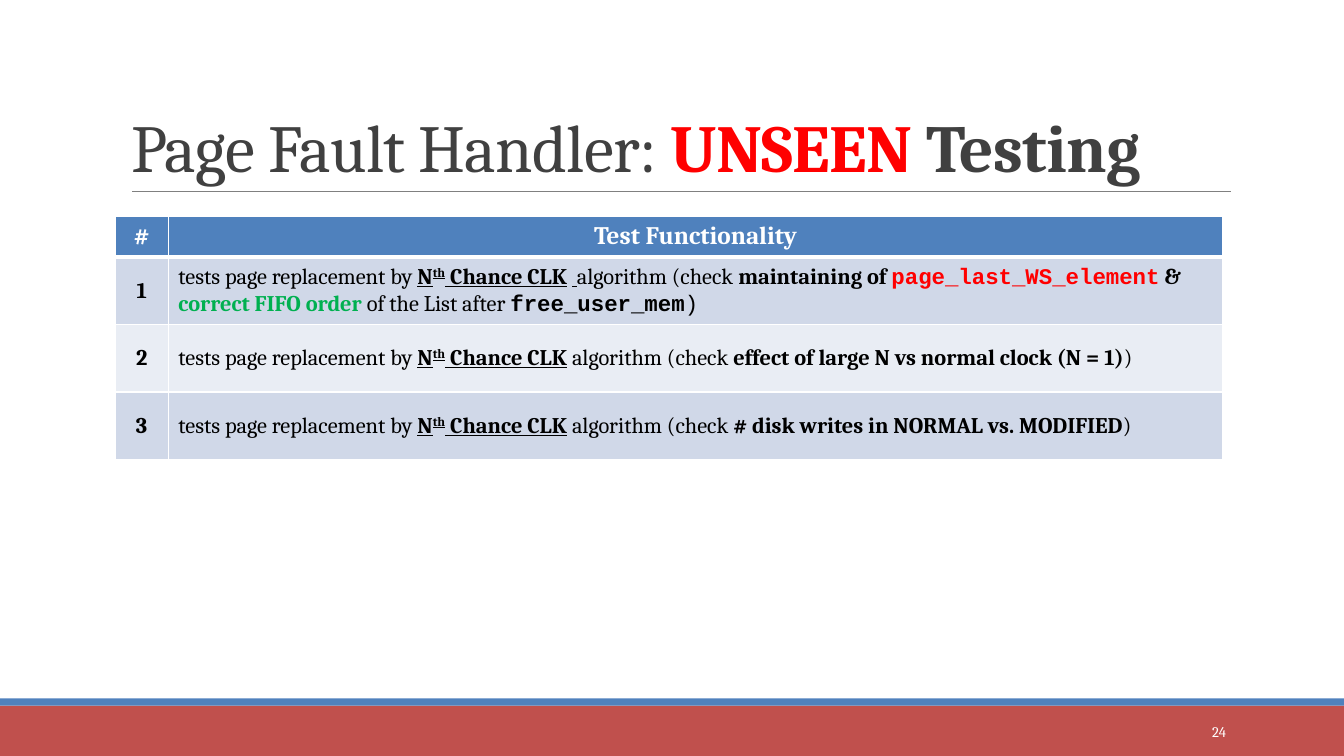
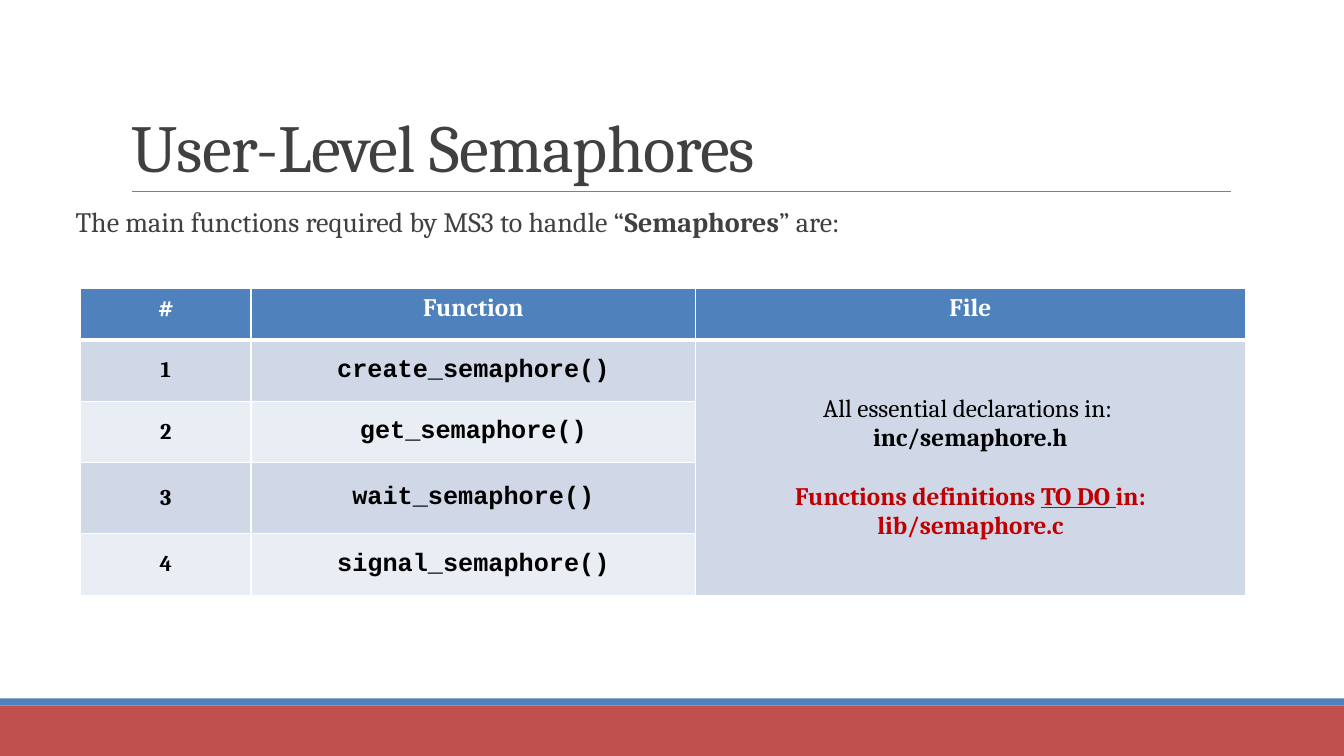
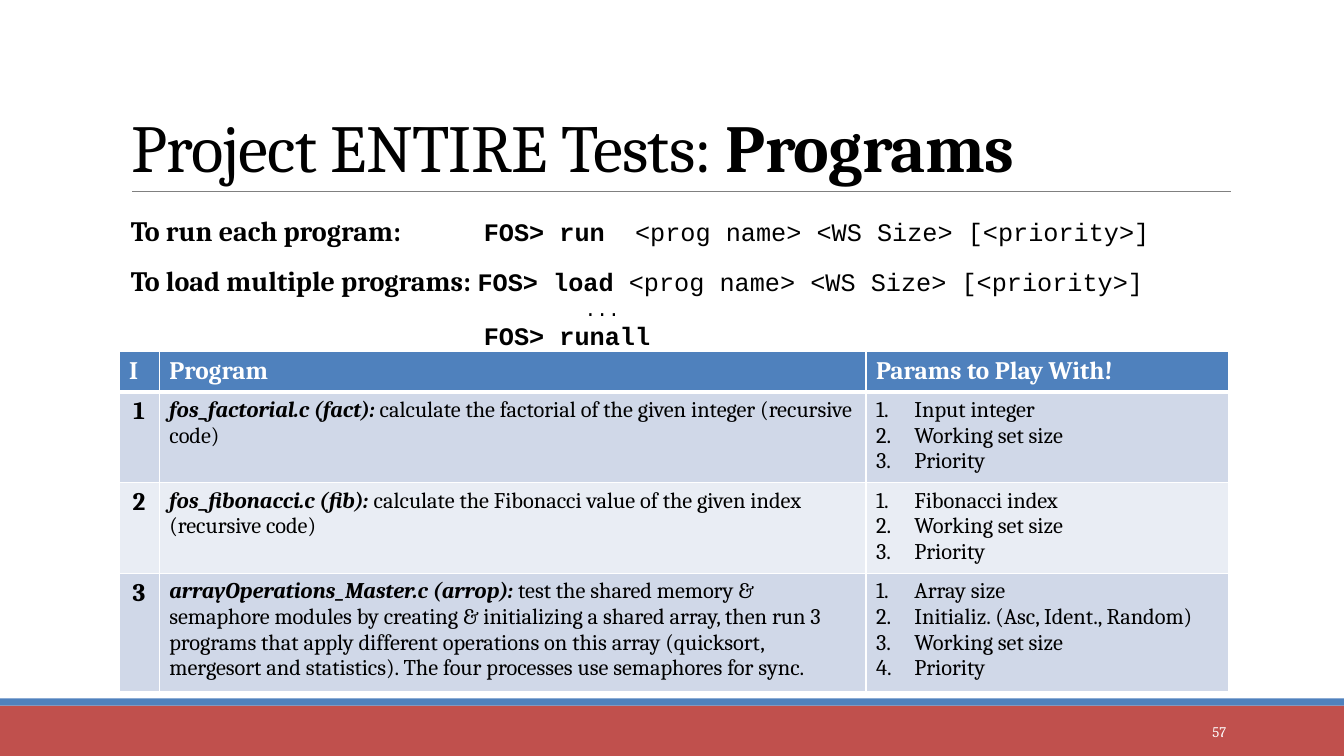
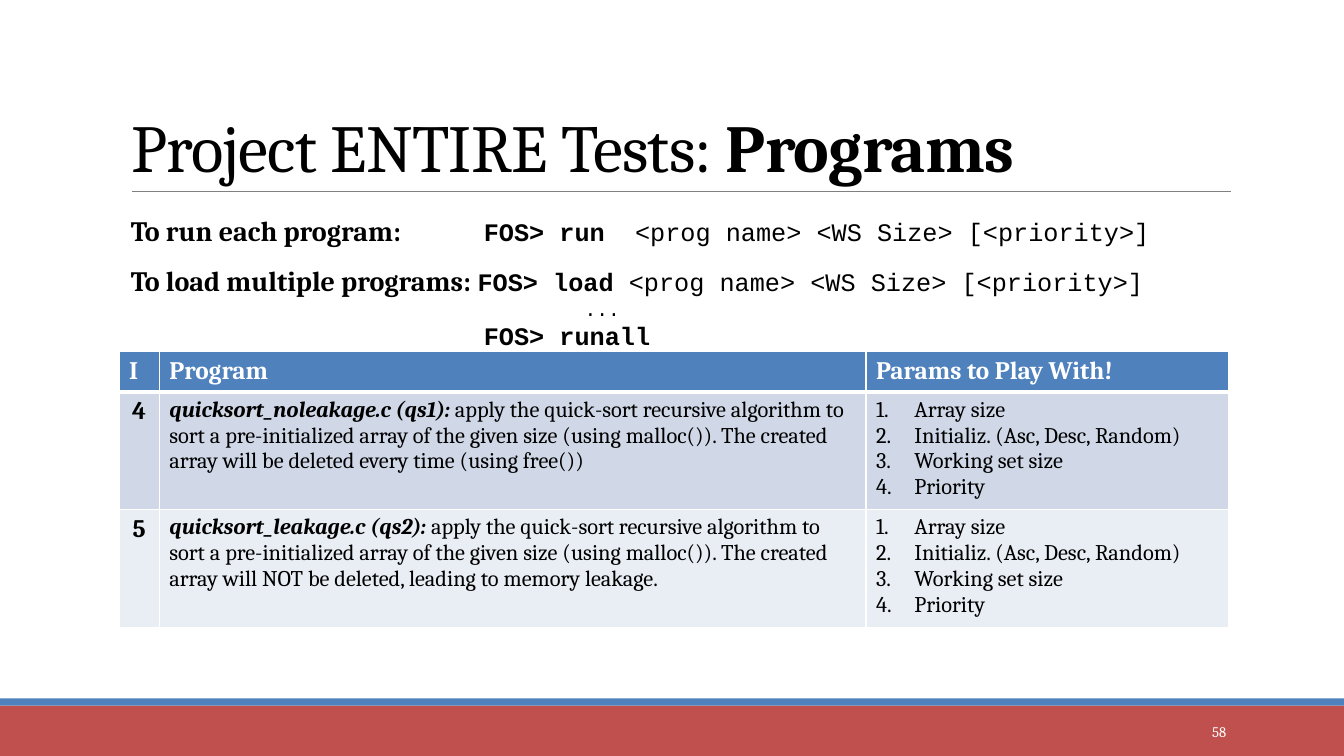
from lxml import etree
from pptx import Presentation
from pptx.dml.color import RGBColor
from pptx.enum.shapes import MSO_CONNECTOR, MSO_SHAPE
from pptx.enum.text import MSO_ANCHOR, MSO_AUTO_SIZE, PP_ALIGN
from pptx.oxml.ns import qn
from pptx.util import Inches, Pt

LEFT, CENTER, RIGHT = PP_ALIGN.LEFT, PP_ALIGN.CENTER, PP_ALIGN.RIGHT
TOP, MIDDLE, BOTTOM = MSO_ANCHOR.TOP, MSO_ANCHOR.MIDDLE, MSO_ANCHOR.BOTTOM
FIXED_SIZE = MSO_AUTO_SIZE.NONE
RECTANGLE, STRAIGHT = MSO_SHAPE.RECTANGLE, MSO_CONNECTOR.STRAIGHT

COLORS = {
    "white": "FFFFFF", "black": "000000", "dark": "404040", "rule": "808080",
    "blue": "4F81BD", "brick": "C0504D", "red": "FF0000", "deep_red": "C00000",
    "green": "00B050", "odd_row": "D0D8E8", "even_row": "E9EDF4",
}
SERIF, MONO = "Cambria", "Courier New"
TITLE_LAYOUT, BODY_LAYOUT = 5, 1
TITLE_BOX = (1.2, 0.31, 11, 1.59)
NUMBER_BOX = (10.83, 7.06, 1.43, 0.4)
BOLD = {"bold": True}
LINKED = {"bold": True, "underline": True}


def color(name):
    return RGBColor.from_string(COLORS[name])


def inches(box):
    return [Inches(length) for length in box]


def add_spans(para, spans, **base):
    """Add each span, a string or a (string, style) pair, as one run."""
    for span in spans:
        text, own = (span, {}) if isinstance(span, str) else span
        style = {"size": 16, "font": SERIF, "color": "black", **base, **own}
        run = para.add_run()
        run.text = text
        font = run.font
        font.size, font.name = Pt(style["size"]), style["font"]
        font.color.rgb = color(style["color"])
        font.bold = style.get("bold", False)
        font.italic = style.get("italic", False)
        font.underline = style.get("underline", False)
        for key, attribute in (("raised", "baseline"), ("spacing", "spc")):
            if key in style:
                font._element.set(attribute, str(style[key]))


def next_para(frame, index):
    return frame.paragraphs[0] if index == 0 else frame.add_paragraph()


def indent(para, left, first, bullet, **attributes):
    properties = para._p.get_or_add_pPr()
    properties.set("marL", str(Inches(left)))
    properties.set("indent", str(Inches(first)))
    etree.SubElement(properties, qn(bullet), **attributes)


def draw_master(deck, page):
    """Draw the footer bands and title rule, then hand them to the master."""
    parts = []
    for top, height, fill in ((7, 0.5, "brick"), (6.93, 0.07, "blue")):
        band = page.shapes.add_shape(RECTANGLE, *inches((0, top, 13.33, height)))
        band.width = deck.slide_width
        band.shadow.inherit = False
        band.fill.solid()
        band.fill.fore_color.rgb = color(fill)
        band.line.fill.background()
        parts.append(band)
    rule = page.shapes.add_connector(STRAIGHT, *inches((1.31, 1.9, 12.21, 1.9)))
    rule.line.color.rgb = color("rule")
    rule.line.width = Pt(0.5)
    etree.SubElement(rule._element.spPr, qn("a:effectLst"))
    for part in parts + [rule]:
        deck.slide_master.shapes.element.append(part._element)


def add_page(deck, layout, title_spans, title_color, number=None):
    page = deck.slides.add_slide(deck.slide_layouts[layout])
    title = page.shapes.title
    title.left, title.top, title.width, title.height = inches(TITLE_BOX)
    frame = title.text_frame
    frame.auto_size, frame.vertical_anchor = FIXED_SIZE, BOTTOM
    para = frame.paragraphs[0]
    para.alignment, para.line_spacing = LEFT, 0.85
    add_spans(para, title_spans, size=48, color=title_color, spacing=-50)
    if number:
        frame = page.shapes.add_textbox(*inches(NUMBER_BOX)).text_frame
        frame.word_wrap, frame.vertical_anchor = True, MIDDLE
        frame.paragraphs[0].alignment = RIGHT
        add_spans(frame.paragraphs[0], [number], size=10.5, color="white")
    return page


def style_cell(cell, fill, top=1, bottom=1):
    properties = cell._tc.get_or_add_tcPr()
    for side, points in (("L", 1), ("R", 1), ("T", top), ("B", bottom)):
        border = etree.SubElement(properties, qn(f"a:ln{side}"), w=str(Pt(points)))
        paint = etree.SubElement(border, qn("a:solidFill"))
        etree.SubElement(paint, qn("a:srgbClr"), val=COLORS["white"])
    cell.fill.solid()
    cell.fill.fore_color.rgb = color(fill)


def add_grid(page, left, top, widths, heights, headings, heading_align):
    """Add a table with banded rows and its heading row filled in."""
    box = inches((left, top, sum(widths), sum(heights)))
    table = page.shapes.add_table(len(heights), len(widths), *box).table
    for column, width in zip(table.columns, widths):
        column.width = Inches(width)
    for index, (row, height) in enumerate(zip(table.rows, heights)):
        row.height = Inches(height)
        for cell in row.cells:
            if index == 0:
                style_cell(cell, "blue", bottom=3)
            else:
                style_cell(cell, "odd_row" if index % 2 else "even_row",
                           top=3 if index == 1 else 1)
    for cell, heading in zip(table.rows[0].cells, headings):
        fill_cell(cell, [heading], heading_align, TOP, size=18, color="white", bold=True)
    return table


def fill_cell(cell, spans, align=LEFT, anchor=MIDDLE, **base):
    cell.vertical_anchor = anchor
    para = cell.text_frame.paragraphs[0]
    para.alignment = align
    add_spans(para, spans, **base)


def testing_page(deck):
    page = add_page(deck, TITLE_LAYOUT,
                    ["Page Fault Handler: ", ("UNSEEN ", {"bold": True, "color": "red"}),
                     ("Testing", BOLD)], "dark", "24")
    checks = [
        [(" ", LINKED), "algorithm (check ", ("maintaining of ", BOLD),
         ("page_last_WS_element", {"bold": True, "font": MONO, "color": "red"}),
         (" & ", BOLD), ("correct FIFO order ", {"bold": True, "color": "green"}),
         "of the List after ", ("free_user_mem", {"bold": True, "font": MONO}),
         (")", {"font": MONO})],
        ["algorithm (check ", ("effect of large N vs normal clock (N = 1)", BOLD), ")"],
        ["algorithm (check ", ("# disk writes in NORMAL vs. MODIFIED", BOLD), ")"],
    ]
    opening = ["tests page replacement by ", ("N", LINKED), ("th", {**LINKED, "raised": 30000}),
               (" Chance CLK", LINKED), (" ", BOLD)]
    table = add_grid(page, 1.14, 2.15, [0.53, 10.46], [0.4] + [0.67] * 3,
                     ["#", "Test Functionality"], CENTER)
    for index, check in enumerate(checks, 1):
        fill_cell(table.cell(index, 0), [str(index)], CENTER, bold=True)
        fill_cell(table.cell(index, 1), opening + check)
    return page


def semaphore_page(deck):
    page = add_page(deck, BODY_LAYOUT, ["User-Level Semaphores"], "dark")
    body = page.placeholders[1]
    body.left, body.top, body.width, body.height = inches((0.65, 2.02, 11.89, 4.4))
    frame = body.text_frame
    frame.auto_size = FIXED_SIZE
    frame.margin_left = frame.margin_right = 0
    para = frame.paragraphs[0]
    para.line_spacing, para.space_before, para.space_after = 0.9, Pt(12), Pt(2)
    indent(para, 0.1, 0, "a:buNone")
    add_spans(para, ["The main functions required by MS3 to handle “", ("Semaphores", BOLD),
                     "” are:"], size=20, color="dark")

    table = add_grid(page, 0.8, 2.86, [1.69, 4.41, 5.45], [0.51, 0.61, 0.61, 0.7, 0.62],
                     ["#", "Function", "File"], CENTER)
    for index, action in enumerate(["create", "get", "wait", "signal"], 1):
        fill_cell(table.cell(index, 0), [str(index)], CENTER, bold=True)
        fill_cell(table.cell(index, 1), [f"{action}_semaphore()"], CENTER,
                  size=18, font=MONO, bold=True)
    files = table.cell(1, 2)
    files.merge(table.cell(4, 2))
    files.vertical_anchor = MIDDLE
    to_do = {"bold": True, "color": "deep_red"}
    lines = [
        ["All essential declarations in: "],
        [("inc/semaphore.h", BOLD)],
        [("Functions definitions ", to_do), ("TO DO ", {**to_do, "underline": True}),
         ("in: lib/semaphore.c", to_do)],
    ]
    for index, spans in enumerate(lines):
        para = next_para(files.text_frame, index)
        para.alignment = CENTER
        add_spans(para, spans, size=18)
    para.space_before = Pt(21)


def add_commands(page, box):
    """Add the shell commands, lined up on shared tab stops."""
    frame = page.shapes.add_textbox(*inches(box)).text_frame
    frame.word_wrap = True
    label = {"size": 20, "bold": True, "font": SERIF}
    bold = {"bold": True}
    arguments = "<prog name> <WS Size> [<priority>]"
    lines = [
        (1.5, [("To run each program: \t", label), ("FOS> run", bold), " \t" + arguments]),
        (1.5, [("To load multiple programs: ", label), ("FOS> load", bold), " " + arguments]),
        (1, [("\t\t...", {"size": 14})]),
        (1, [("\tFOS> runall", bold)]),
    ]
    for index, (spacing, spans) in enumerate(lines):
        para = next_para(frame, index)
        para.line_spacing = spacing
        stops = etree.SubElement(para._p.get_or_add_pPr(), qn("a:tabLst"))
        for stop in (3.5, 4.5, 5):
            etree.SubElement(stops, qn("a:tab"), pos=str(Inches(stop)), algn="l")
        add_spans(para, spans, size=18, font=MONO)


def programs_page(deck, number, first, heights, programs):
    page = add_page(deck, TITLE_LAYOUT, ["Project ENTIRE Tests: ", ("Programs", BOLD)],
                    "black", number)
    table = add_grid(page, 1.18, 3.49, [0.4, 7.01, 3.6], heights,
                     ["I", "Program", "Params to Play With!"], LEFT)
    for index, (name, purpose, inputs) in enumerate(programs):
        row = table.rows[index + 1].cells
        fill_cell(row[0], [str(first + index)], CENTER, TOP, size=18, bold=True)
        fill_cell(row[1], [(name + ": ", {"bold": True, "italic": True}), purpose], LEFT, TOP)
        for position, parameter in enumerate(inputs + ["Working set size", "Priority"]):
            para = next_para(row[2].text_frame, position)
            indent(para, 0.38, -0.38, "a:buAutoNum", type="arabicPeriod")
            add_spans(para, [parameter])
    add_commands(page, (1.2, 1.9, 10.39, 2.13))


def main():
    deck = Presentation()
    deck.slide_width, deck.slide_height = Inches(13.33), Inches(7.5)
    draw_master(deck, testing_page(deck))
    semaphore_page(deck)
    programs_page(deck, "57", 1, [0.39, 0.86, 0.86, 1.12], [
        ("fos_factorial.c (fact)",
         "calculate the factorial of the given integer (recursive code)", ["Input integer"]),
        ("fos_fibonacci.c (fib)",
         "calculate the Fibonacci value of the given index (recursive code)",
         ["Fibonacci index"]),
        ("arrayOperations_Master.c (arrop)",
         "test the shared memory & semaphore modules by creating & initializing a shared "
         "array, then run 3 programs that apply different operations on this array "
         "(quicksort, mergesort and statistics). The four processes use semaphores for sync.",
         ["Array size", "Initializ. (Asc, Ident., Random)"]),
    ])
    sorting = ("apply the quick-sort recursive algorithm to sort a pre-initialized array of "
               "the given size (using malloc()). The created array will ")
    sort_inputs = ["Array size", "Initializ. (Asc, Desc, Random)"]
    programs_page(deck, "58", 4, [0.39, 1.12, 1.12], [
        ("quicksort_noleakage.c (qs1)",
         sorting + "be deleted every time (using free())", sort_inputs),
        ("quicksort_leakage.c (qs2)",
         sorting + "NOT be deleted, leading to memory leakage.", sort_inputs),
    ])
    deck.save("out.pptx")


if __name__ == "__main__":
    main()
